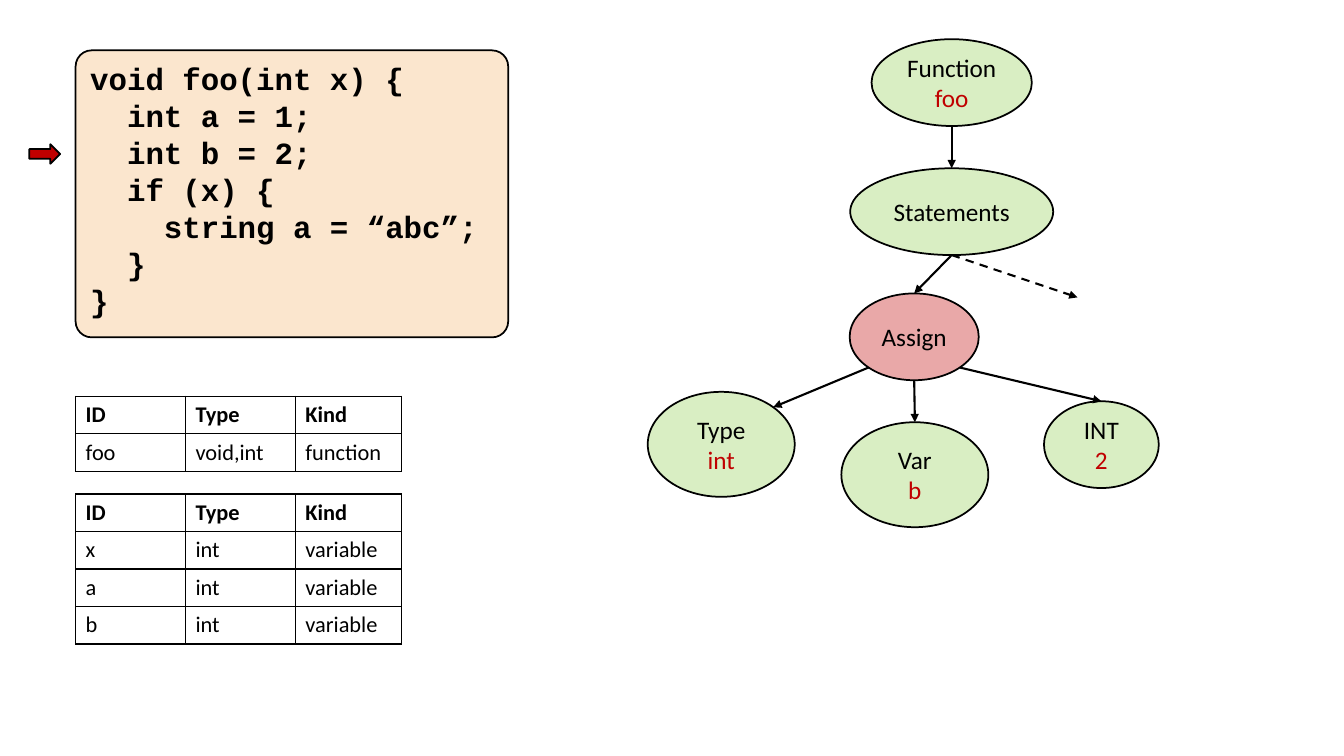
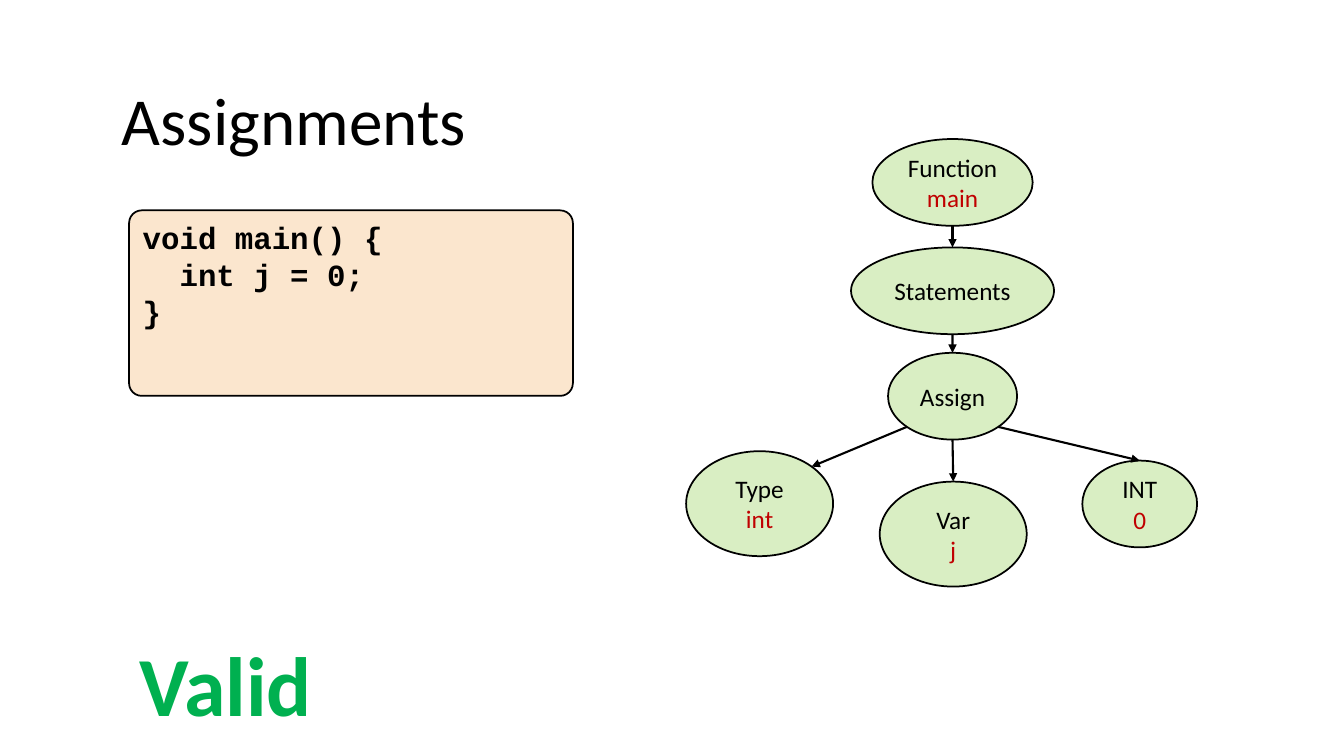
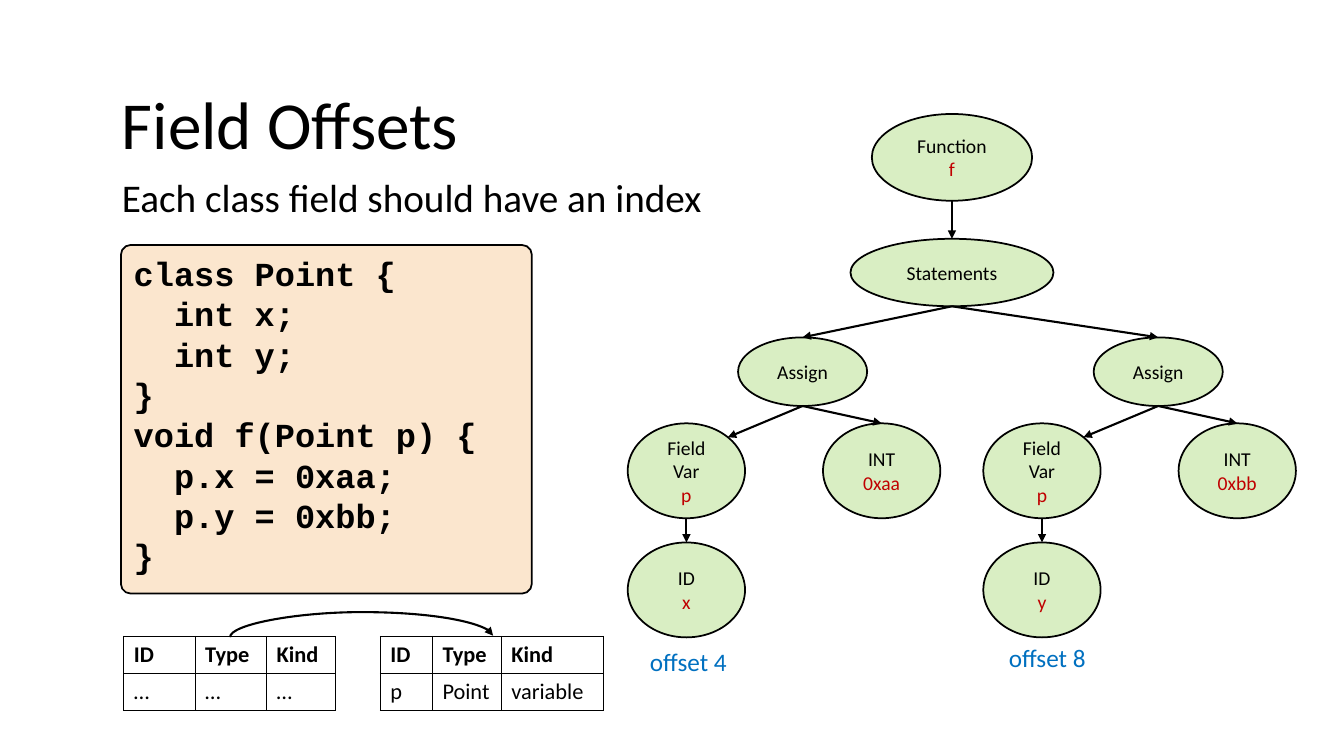
"""Build three slides on syntax trees and symbol tables."""
import math
from dataclasses import dataclass
from typing import Any, NamedTuple

import pptx
import pptx.dml.color
import pptx.enum.dml
import pptx.enum.shapes
import pptx.enum.text
import pptx.oxml.ns
import pptx.util
from lxml import etree

Pt = pptx.util.Pt
qn = pptx.oxml.ns.qn
RGB = pptx.dml.color.RGBColor.from_string
Form = pptx.enum.shapes.MSO_SHAPE
Wire = pptx.enum.shapes.MSO_CONNECTOR
Text = pptx.enum.text


@dataclass(frozen=True)
class Theme:
    """Hold colours, fonts and sizes."""
    ink: str = "000000"
    paper: str = "FFFFFF"
    sand: str = "FBE6CE"
    leaf: str = "92D050"
    red: str = "C00000"
    good: str = "00B050"
    blue: str = "0070C0"
    alpha: int = 34000
    sans: str = "Calibri"
    mono: str = "Courier New"
    title: int = 48
    lead: int = 28
    stamp: int = 60
    node: int = 18
    small: int = 14
    cell: int = 16
    code: int = 22
    edge: float = 1.25
    wire: float = 1.5
    grid: float = 1


class Box(NamedTuple):
    """Place an area in points."""
    left: float
    top: float
    width: float
    height: float


class Node(NamedTuple):
    """Describe one tree node by its centre line and top."""
    mid: float
    top: float
    width: float
    height: float
    words: tuple[str, ...]
    value: str = ""
    fill: str = Theme.leaf
    size: int = Theme.node


T = Theme()
HEAD = ("ID", "Type", "Kind")
TOP, LOW_LEFT, LOW, LOW_RIGHT, UP_RIGHT = 0, 3, 4, 5, 7


def put(item: Any, **values: Any) -> None:
    """Set each given attribute."""
    for key, value in values.items():
        setattr(item, key, value)


def write(frame: Any, lines: list[tuple[str, str]], size: float, face: str = T.sans,
          bold: bool = False, align: Any = Text.PP_ALIGN.LEFT) -> None:
    """Fill a text frame with coloured lines."""
    for i, (line, color) in enumerate(lines):
        para = frame.paragraphs[0] if i == 0 else frame.add_paragraph()
        para.alignment = align
        run = para.add_run()
        run.text = line
        put(run.font, size=Pt(size), name=face, bold=bold)
        run.font.color.rgb = RGB(color)


def label(slide: Any, box: Box, text: str, size: float, color: str = T.ink,
          bold: bool = False) -> None:
    """Add a line of plain text."""
    frame = slide.shapes.add_textbox(*map(Pt, box)).text_frame
    put(frame, word_wrap=True, auto_size=Text.MSO_AUTO_SIZE.SHAPE_TO_FIT_TEXT)
    write(frame, [(text, color)], size, bold=bold)


def shape(slide: Any, form: Any, box: Box, fill: str) -> Any:
    """Add an outlined shape."""
    item = slide.shapes.add_shape(form, *map(Pt, box))
    item.shadow.inherit = False
    item.fill.solid()
    item.fill.fore_color.rgb = RGB(fill)
    item.line.width = Pt(T.edge)
    item.line.color.rgb = RGB(T.ink)
    return item


def code(slide: Any, box: Box, round_by: float, text: str, size: float = T.code) -> None:
    """Add a code panel."""
    item = shape(slide, Form.ROUNDED_RECTANGLE, box, T.sand)
    item.adjustments[0] = round_by
    put(item.text_frame, word_wrap=True, vertical_anchor=Text.MSO_ANCHOR.TOP)
    write(item.text_frame, [(row, T.ink) for row in text.split("\n")], size, T.mono, True)


def draw(slide: Any, node: Node) -> Any:
    """Draw a tree node."""
    box = Box(node.mid - node.width / 2, node.top, node.width, node.height)
    item = shape(slide, Form.OVAL, box, node.fill)
    tint = item._element.spPr.find(qn("a:solidFill"))[0]
    etree.SubElement(tint, qn("a:alpha"), val=str(T.alpha))
    put(item.text_frame, word_wrap=True, vertical_anchor=Text.MSO_ANCHOR.MIDDLE)
    lines = [(word, T.ink) for word in node.words]
    if node.value:
        lines.append((node.value, T.red))
    write(item.text_frame, lines, node.size, align=Text.PP_ALIGN.CENTER)
    return item


def site(item: Any, spot: int) -> tuple[int, int]:
    """Find one of the eight joints of an oval."""
    turn = math.radians(90 + 45 * spot)
    return (round(item.left + item.width / 2 * (1 + math.cos(turn))),
            round(item.top + item.height / 2 * (1 - math.sin(turn))))


def arrow(slide: Any, start: tuple[int, int], end: tuple[int, int],
          kind: Any = Wire.STRAIGHT, dash: Any = None) -> Any:
    """Add an arrow between two points."""
    link = slide.shapes.add_connector(kind, *start, *end)
    put(link.line, width=Pt(T.wire), dash_style=dash)
    link.line.color.rgb = RGB(T.ink)
    props = link._element.spPr
    etree.SubElement(props.find(qn("a:ln")), qn("a:tailEnd"), type="triangle")
    etree.SubElement(props, qn("a:effectLst"))
    return link


def join(slide: Any, start: Any, end: Any, leave: int = LOW, enter: int = TOP) -> None:
    """Link two nodes with a glued arrow."""
    link = arrow(slide, site(start, leave), site(end, enter))
    glue = link._element.nvCxnSpPr.cNvCxnSpPr
    for tag, item, spot in (("a:stCxn", start, leave), ("a:endCxn", end, enter)):
        etree.SubElement(glue, qn(tag), id=str(item.shape_id), idx=str(spot))


def arc(slide: Any, left: float, right: float, base: float, rise: int) -> None:
    """Add a curved arrow that rises from a base line."""
    mid, half = (left + right) / 2, (right - left) / 2
    link = arrow(slide, (Pt(mid + 0.5), Pt(base + half)),
                 (Pt(mid - 0.5), Pt(base - half)), Wire.CURVE)
    props = link._element.spPr
    props.find(qn("a:xfrm")).set("rot", "5400000")
    shifts = props.find(qn("a:prstGeom")).find(qn("a:avLst"))
    etree.SubElement(shifts, qn("a:gd"), name="adj1", fmla=f"val {rise * 100000}")


def table(slide: Any, left: float, top: float, widths: tuple[float, ...],
          *body: tuple[str, ...]) -> None:
    """Add a ruled symbol table."""
    rows = (HEAD, *body)
    box = Box(left, top, sum(widths), 26.4 * len(rows))
    grid = slide.shapes.add_table(len(rows), len(widths), *map(Pt, box)).table
    put(grid, first_row=False, horz_banding=False)
    for col, width in zip(grid.columns, widths):
        col.width = Pt(width)
    for r, row in enumerate(rows):
        for c, text in enumerate(row):
            cell = grid.cell(r, c)
            props = cell._tc.get_or_add_tcPr()
            for side in "LRTB":
                rule = etree.SubElement(props, qn(f"a:ln{side}"), w=str(Pt(T.grid)))
                paint = etree.SubElement(rule, qn("a:solidFill"))
                etree.SubElement(paint, qn("a:srgbClr"), val=T.ink)
            cell.fill.solid()
            cell.fill.fore_color.rgb = RGB(T.paper)
            write(cell.text_frame, [(text, T.ink)], T.cell, bold=r == 0)


def root(slide: Any, mid: float, top: float, drop: float, name: str,
         height: float = 62, size: int = T.node) -> Any:
    """Draw a function with its statements node."""
    first = draw(slide, Node(mid, top, 114.5, 62, ("Function",), name, size=size))
    block = draw(slide, Node(mid, top + drop, 145, height, ("Statements",), size=size))
    join(slide, first, block)
    return block


def declare(slide: Any, block: Any, mid: float, top: float, name: str, value: str,
            fill: str = T.leaf) -> None:
    """Draw a typed assign subtree."""
    head = draw(slide, Node(mid, top, 92.2, 62, ("Assign",), fill=fill))
    join(slide, block, head)
    kind = draw(slide, Node(mid - 137.8, top + 70.3, 105, 75, ("Type",), "int"))
    var = draw(slide, Node(mid + 0.5, top + 92, 105, 75, ("Var",), name))
    num = draw(slide, Node(mid + 133.7, top + 77, 82, 62, ("INT",), value))
    join(slide, head, kind, LOW_LEFT, UP_RIGHT)
    join(slide, head, var)
    join(slide, head, num, LOW_RIGHT)


def store(slide: Any, block: Any, mid: float, field: str, value: str) -> None:
    """Draw a field assign subtree."""
    def leaf(shift: float, top: float, words: tuple[str, ...], mark: str) -> Any:
        """Draw a small node beside the centre line."""
        return draw(slide, Node(mid + shift, top, 83.8, 67.8, words, mark, size=T.small))

    head = draw(slide, Node(mid, 241, 92.2, 49, ("Assign",), size=T.small))
    var = leaf(-83, 302.4, ("Field", "Var"), "p")
    num = leaf(56.5, 302.4, ("INT",), value)
    name = leaf(-83, 387.5, ("ID",), field)
    join(slide, block, head)
    join(slide, head, var, LOW, UP_RIGHT)
    join(slide, head, num)
    join(slide, var, name)


def scopes(slide: Any) -> None:
    """Build the slide on nested scopes."""
    code(slide, Box(54, 36, 309, 205), 0.056,
         "void foo(int x) {\n  int a = 1;\n  int b = 2;\n  if (x) {\n"
         "    string a = “abc”;\n  }\n}")
    widths = (78.5, 78.5, 76)
    table(slide, 54, 283, widths, ("foo", "void,int", "function"))
    table(slide, 54, 352.8, widths, *((name, "int", "variable") for name in "xab"))
    block = root(slide, 679.8, 28, 92.2, "foo")
    arrow(slide, site(block, LOW), (Pt(769.7), Pt(212.4)),
          dash=pptx.enum.dml.MSO_LINE.DASH)
    declare(slide, block, 653, 209.6, "b", "2", T.red)
    shape(slide, Form.RIGHT_ARROW, Box(21, 103, 22, 14), T.red)


def assigns(slide: Any) -> None:
    """Build the slide on assignments."""
    label(slide, Box(80, 52.5, 798, 65.5), "Assignments", T.title)
    code(slide, Box(92.2, 150.3, 317, 132.5), 0.068, "void main() {\n  int j = 0;\n}")
    block = root(slide, 680.4, 99.3, 77.4, "main")
    declare(slide, block, 680.4, 252, "j", "0")
    label(slide, Box(92.2, 448.5, 220, 80), "Valid", T.stamp, T.good, True)


def fields(slide: Any) -> None:
    """Build the slide on field offsets."""
    label(slide, Box(80, 55, 798, 65.5), "Field Offsets", T.title)
    label(slide, Box(80, 120.2, 798, 41), "Each class field should have an index", T.lead)
    block = root(slide, 680, 81.4, 89.2, "f", 48.2, T.small)
    for mid, field, value in ((573.3, "x", "0xaa"), (827.3, "y", "0xbb")):
        store(slide, block, mid, field, value)
    for left, top, text in ((457.2, 458, "offset 4"), (713.5, 455, "offset 8")):
        label(slide, Box(left, top, 75, 29), text, T.node, T.blue)
    table(slide, 88.4, 454.6, (51, 51, 49.5), ("…",) * 3)
    table(slide, 271.7, 454.6, (37.2, 49.2, 73), ("p", "Point", "variable"))
    arc(slide, 164.3, 352.2, 454.6, 18)
    code(slide, Box(86.4, 175, 293.5, 249), 0.028,
         "class Point {\n  int x;\n  int y;\n}\nvoid f(Point p) {\n"
         "  p.x = 0xaa;\n  p.y = 0xbb;\n}", 24)


def main() -> None:
    """Build and save the deck."""
    deck = pptx.Presentation()
    put(deck, slide_width=Pt(960), slide_height=Pt(540))
    for build in (scopes, assigns, fields):
        build(deck.slides.add_slide(deck.slide_layouts[6]))
    deck.save("out.pptx")


if __name__ == "__main__":
    main()
